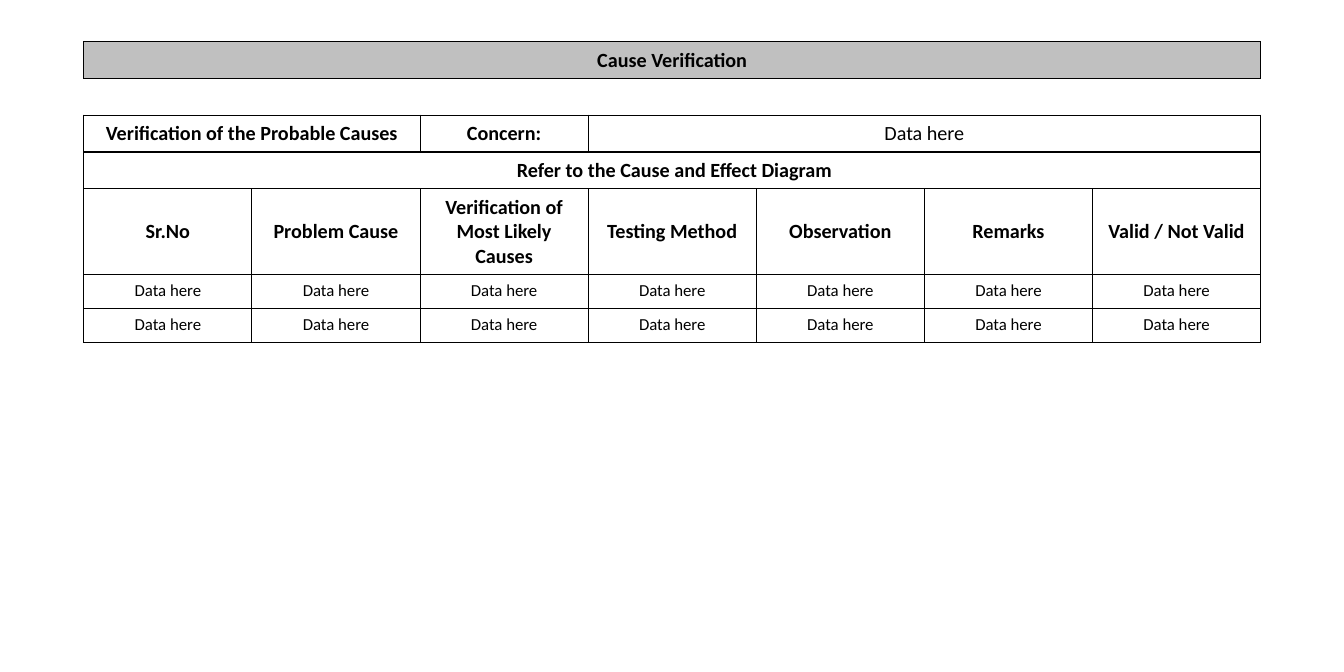
"""Build the Cause Verification slide: one table with a title, concern row and cause list."""
from dataclasses import dataclass

from lxml.etree import SubElement
from pptx import Presentation
from pptx.dml.color import RGBColor
from pptx.enum.text import MSO_ANCHOR as Anchor, PP_ALIGN as Align
from pptx.oxml.ns import qn
from pptx.util import Cm, Pt


@dataclass(frozen=True)
class Theme:
    font: str = "Calibri"
    ink: str = "000000"
    band: str = "C0C0C0"
    heading: float = 12
    body: float = 10
    rule: float = 0.75


theme = Theme()


def write(cell, text, size=theme.heading, bold=True, anchor=Anchor.MIDDLE, fill=None):
    cell.vertical_anchor = anchor
    paragraph = cell.text_frame.paragraphs[0]
    paragraph.alignment = Align.CENTER
    run = paragraph.add_run()
    run.text = text
    run.font.name = theme.font
    run.font.size = Pt(size)
    run.font.bold = bold
    run.font.color.rgb = RGBColor.from_string(theme.ink)
    if fill:
        cell.fill.solid()
        cell.fill.fore_color.rgb = RGBColor.from_string(fill)


def draw_borders(cell, sides):
    properties = cell._tc.get_or_add_tcPr()
    for side in "LRTB":
        line = SubElement(properties, qn(f"a:ln{side}"), w=str(Pt(theme.rule)))
        if side in sides:
            colour = SubElement(SubElement(line, qn("a:solidFill")), qn("a:srgbClr"))
            colour.set("val", theme.ink)
        else:
            SubElement(line, qn("a:noFill"))


prs = Presentation()
prs.slide_width, prs.slide_height = Cm(28.22), Cm(14.12)
slide = prs.slides.add_slide(prs.slide_layouts[6])

column_width = 3.53
row_heights = [0.77, 0.77, 0.77, 0.77, 1.81, 0.71, 0.71]
headings = ["Sr.No", "Problem Cause", "Verification of Most Likely Causes",
            "Testing Method", "Observation", "Remarks", "Valid / Not Valid"]
title_row, gap_row, concern_row, reference_row, heading_row, *cause_rows = range(len(row_heights))
last = len(headings) - 1

causes = slide.shapes.add_table(
    len(row_heights), len(headings), Cm(1.76), Cm(0.88),
    Cm(column_width * len(headings)), Cm(sum(row_heights))).table
causes.first_row = causes.horz_banding = False
for column in causes.columns:
    column.width = Cm(column_width)
for row_index, (row, height) in enumerate(zip(causes.rows, row_heights)):
    row.height = Cm(height)
    for cell in row.cells:
        draw_borders(cell, "TB" if row_index == gap_row else "LRTB")
        cell.fill.background()

for row_index, first, final in [(title_row, 0, last), (gap_row, 0, last), (concern_row, 0, 1),
                                (concern_row, 3, last), (reference_row, 0, last)]:
    causes.cell(row_index, first).merge(causes.cell(row_index, final))

for cell in causes.rows[gap_row].cells:
    gap = cell.text_frame.paragraphs[0]
    SubElement(gap._p, qn("a:endParaRPr"), sz=str(theme.heading * 100))

write(causes.cell(title_row, 0), "Cause Verification", fill=theme.band)
write(causes.cell(concern_row, 0), "Verification of the Probable Causes")
write(causes.cell(concern_row, 2), "Concern:")
write(causes.cell(concern_row, 3), "Data here", bold=False)
write(causes.cell(reference_row, 0), " Refer to the Cause and Effect Diagram")
for column_index, heading in enumerate(headings):
    write(causes.cell(heading_row, column_index), heading)
    for row_index in cause_rows:
        write(causes.cell(row_index, column_index), "Data here",
              size=theme.body, bold=False, anchor=Anchor.TOP)

prs.save("out.pptx")
